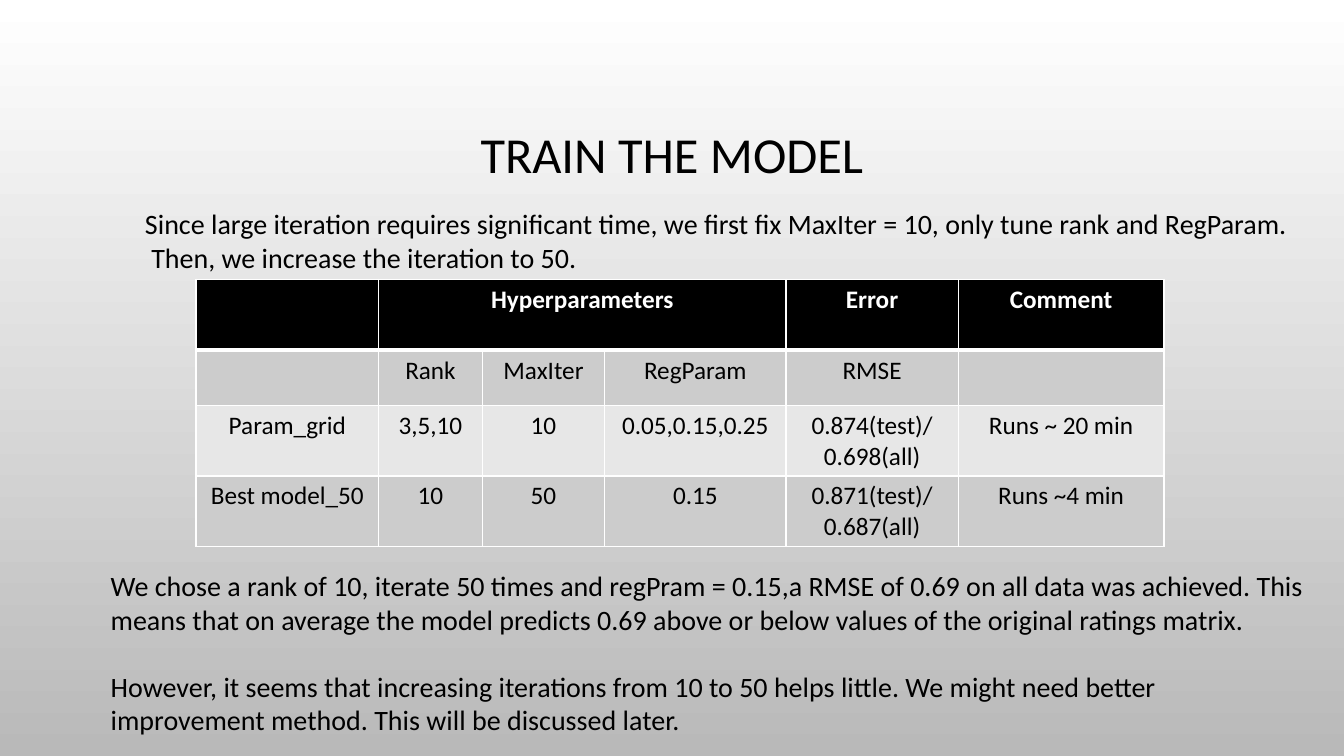
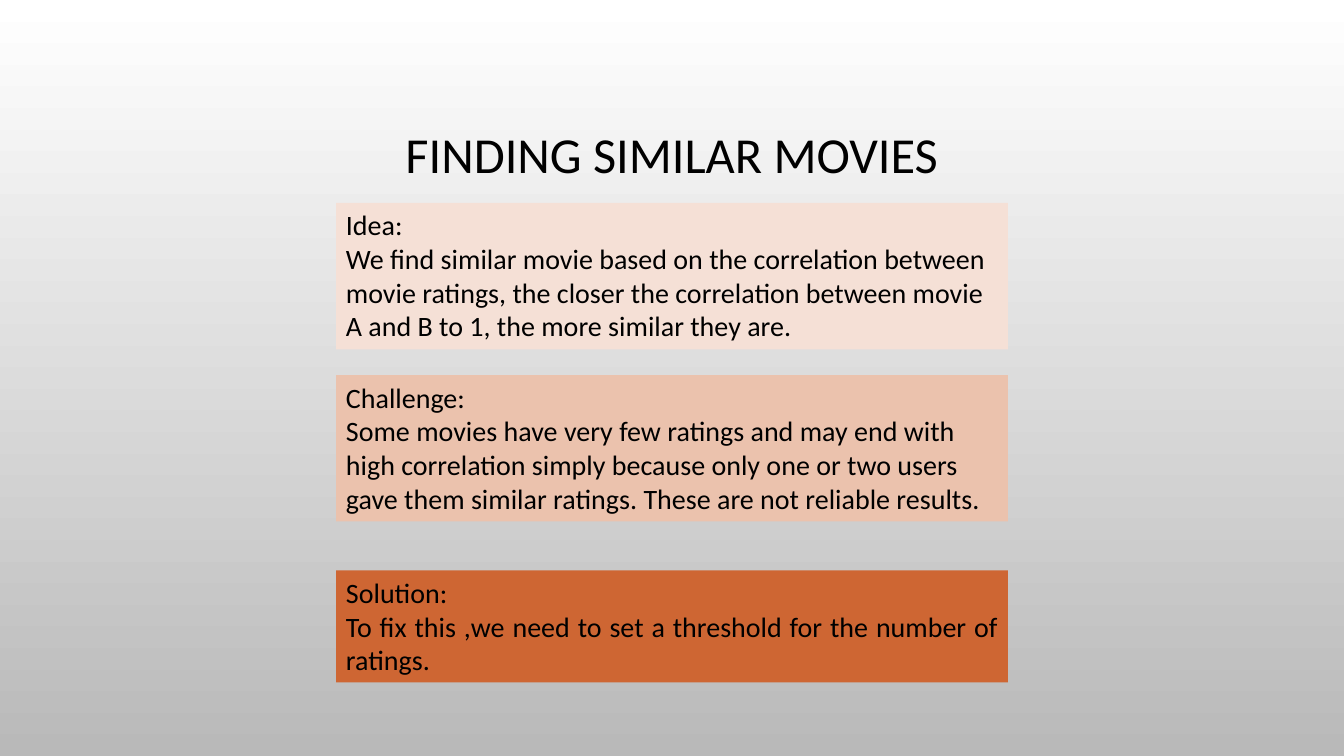
import pptx
import pptx.dml.color
import pptx.enum.text
import pptx.oxml
import pptx.oxml.ns
import pptx.util

Pt = pptx.util.Pt
RGB = pptx.dml.color.RGBColor
ALIGN = pptx.enum.text.PP_ALIGN
ANCHOR = pptx.enum.text.MSO_ANCHOR

FONT = "Calibri"
BLACK = RGB(0x00, 0x00, 0x00)
WHITE = RGB(0xFF, 0xFF, 0xFF)
BACKDROP = (WHITE, RGB(0xB9, 0xB9, 0xB9))
ROW_FILLS = (RGB(0xCC, 0xCC, 0xCC), RGB(0xE7, 0xE7, 0xE7))
TITLE_SIZE, BODY_SIZE, TABLE_SIZE = 36, 20, 18

# Left, top, width and height in points
TITLE_BOX = (72, 49, 816, 126)
INTRO_BOX = (96.5, 144, 833, 55.5)
FINDINGS_BOX = (72, 402.5, 872.5, 128)
TABLE_LEFT, TABLE_TOP = 140, 199.5
COLUMN_WIDTHS = (130.5, 74, 87.5, 129.5, 123, 147)
ROW_HEIGHTS = (50.5, 39.5, 50.5, 50.5)
CARD_LEFT, CARD_WIDTH = 240, 480

INTRO = (
    "Since large iteration requires significant time, we first fix MaxIter = 10, "
    "only tune rank and RegParam.",
    " Then, we increase the iteration to 50.",
)
RESULTS = (
    ("", "Hyperparameters", "", "", "Error", "Comment"),
    ("", "Rank", "MaxIter", "RegParam", "RMSE", ""),
    ("Param_grid", "3,5,10", "10", "0.05,0.15,0.25",
     "0.874(test)/\n0.698(all)", "Runs ~ 20 min"),
    ("Best model_50", "10", "50", "0.15",
     "0.871(test)/\n0.687(all)", "Runs ~4 min"),
)
FINDINGS = (
    "We chose a rank of 10, iterate 50 times and regPram = 0.15,a RMSE of 0.69 on all "
    "data was achieved. This means that on average the model predicts 0.69 above or "
    "below values of the original ratings matrix.",
    "However, it seems that increasing iterations from 10 to 50 helps little. We might "
    "need better improvement method. This will be discussed later.",
)
# Top, height, fill, alignment, paragraphs
CARDS = (
    (145, 104.5, RGB(0xF5, 0xE0, 0xD6), ALIGN.LEFT, (
        "Idea:",
        "We find similar movie based on the correlation between movie ratings, the closer "
        "the correlation between movie A and B to 1, the more similar they are.")),
    (268, 104.5, RGB(0xEB, 0xC2, 0xAD), ALIGN.LEFT, (
        "Challenge:",
        "Some movies have very few ratings and may end with high correlation simply because "
        "only one or two users gave them similar ratings. These are not reliable results.")),
    (407.5, 80, RGB(0xCE, 0x66, 0x33), ALIGN.JUSTIFY, (
        "Solution:",
        "To fix this ,we need to set a threshold for the number of ratings.")),
)


def points(values):
    return [Pt(v) for v in values]


def write(tf, text, size, align=ALIGN.LEFT, color=BLACK, bold=False):
    tf.text = text
    for p in tf.paragraphs:
        p.alignment = align
        for font in [p.font] + [r.font for r in p.runs]:
            font.name, font.size, font.bold = FONT, Pt(size), bold
            font.color.rgb = color


def set_up_template(prs):
    """Give the master its gradient and the title its place; return the layout."""
    prs.slide_width, prs.slide_height = Pt(960), Pt(540)
    fill = prs.slide_master.background.fill
    fill.gradient()
    fill.gradient_angle = 270
    for stop, color in zip(fill.gradient_stops, BACKDROP):
        stop.color.rgb = color
    layout = prs.slide_layouts[5]
    title = layout.placeholders[0]
    title.left, title.top, title.width, title.height = points(TITLE_BOX)
    title.text_frame.vertical_anchor = ANCHOR.MIDDLE
    return layout


def add_titled_slide(prs, layout, title):
    s = prs.slides.add_slide(layout)
    tf = s.shapes.title.text_frame
    write(tf, title, TITLE_SIZE, ALIGN.CENTER)
    tf.paragraphs[0].line_spacing = 0.9
    return s


def add_text(s, box, paragraphs, align=ALIGN.LEFT, wrap=True):
    sp = s.shapes.add_textbox(*points(box))
    sp.text_frame.word_wrap = wrap
    write(sp.text_frame, "\n".join(paragraphs), BODY_SIZE, align)
    return sp


def set_borders(cell, top, bottom):
    """Draw white borders, with the top and bottom widths in points."""
    tcPr = cell._tc.get_or_add_tcPr()
    for i, (side, width) in enumerate((("L", 1), ("R", 1), ("T", top), ("B", bottom))):
        tcPr.insert(i, pptx.oxml.parse_xml(
            f'<a:ln{side} {pptx.oxml.ns.nsdecls("a")} w="{Pt(width)}"><a:solidFill>'
            f'<a:srgbClr val="{WHITE}"/></a:solidFill></a:ln{side}>'))


def add_results_table(s):
    frame = s.shapes.add_table(
        len(RESULTS), len(COLUMN_WIDTHS), Pt(TABLE_LEFT), Pt(TABLE_TOP),
        Pt(sum(COLUMN_WIDTHS)), Pt(sum(ROW_HEIGHTS)))
    table = frame.table
    for column, width in zip(table.columns, COLUMN_WIDTHS):
        column.width = Pt(width)
    for i, (height, texts) in enumerate(zip(ROW_HEIGHTS, RESULTS)):
        table.rows[i].height = Pt(height)
        header = i == 0
        for j, text in enumerate(texts):
            cell = table.cell(i, j)
            write(cell.text_frame, text, TABLE_SIZE, ALIGN.CENTER,
                  WHITE if header else BLACK, header)
            cell.fill.solid()
            cell.fill.fore_color.rgb = BLACK if header else ROW_FILLS[(i - 1) % 2]
            set_borders(cell, 3 if i == 1 else 1, 3 if header else 1)
    table.cell(0, 1).merge(table.cell(0, 3))


def add_training_slide(prs, layout):
    s = add_titled_slide(prs, layout, "TRAIN THE MODEL")
    add_text(s, INTRO_BOX, INTRO, wrap=False)
    add_results_table(s)
    findings = add_text(s, FINDINGS_BOX, FINDINGS)
    findings.text_frame.paragraphs[1].space_before = Pt(24)


def add_similarity_slide(prs, layout):
    s = add_titled_slide(prs, layout, "FINDING SIMILAR MOVIES")
    for top, height, color, align, paragraphs in CARDS:
        card = add_text(s, (CARD_LEFT, top, CARD_WIDTH, height), paragraphs, align)
        card.fill.solid()
        card.fill.fore_color.rgb = color


def main():
    prs = pptx.Presentation()
    layout = set_up_template(prs)
    add_training_slide(prs, layout)
    add_similarity_slide(prs, layout)
    prs.save("out.pptx")


if __name__ == "__main__":
    main()
